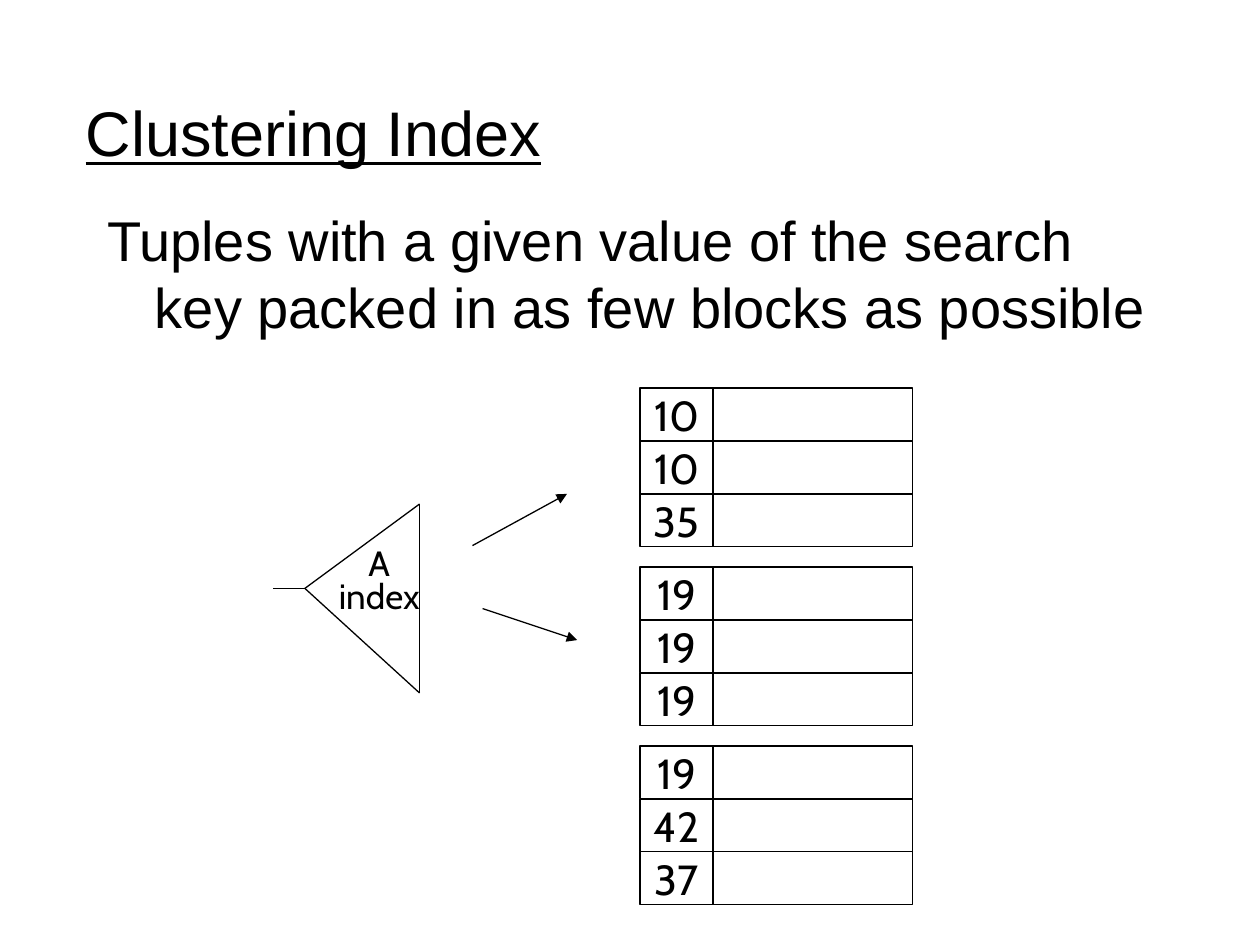
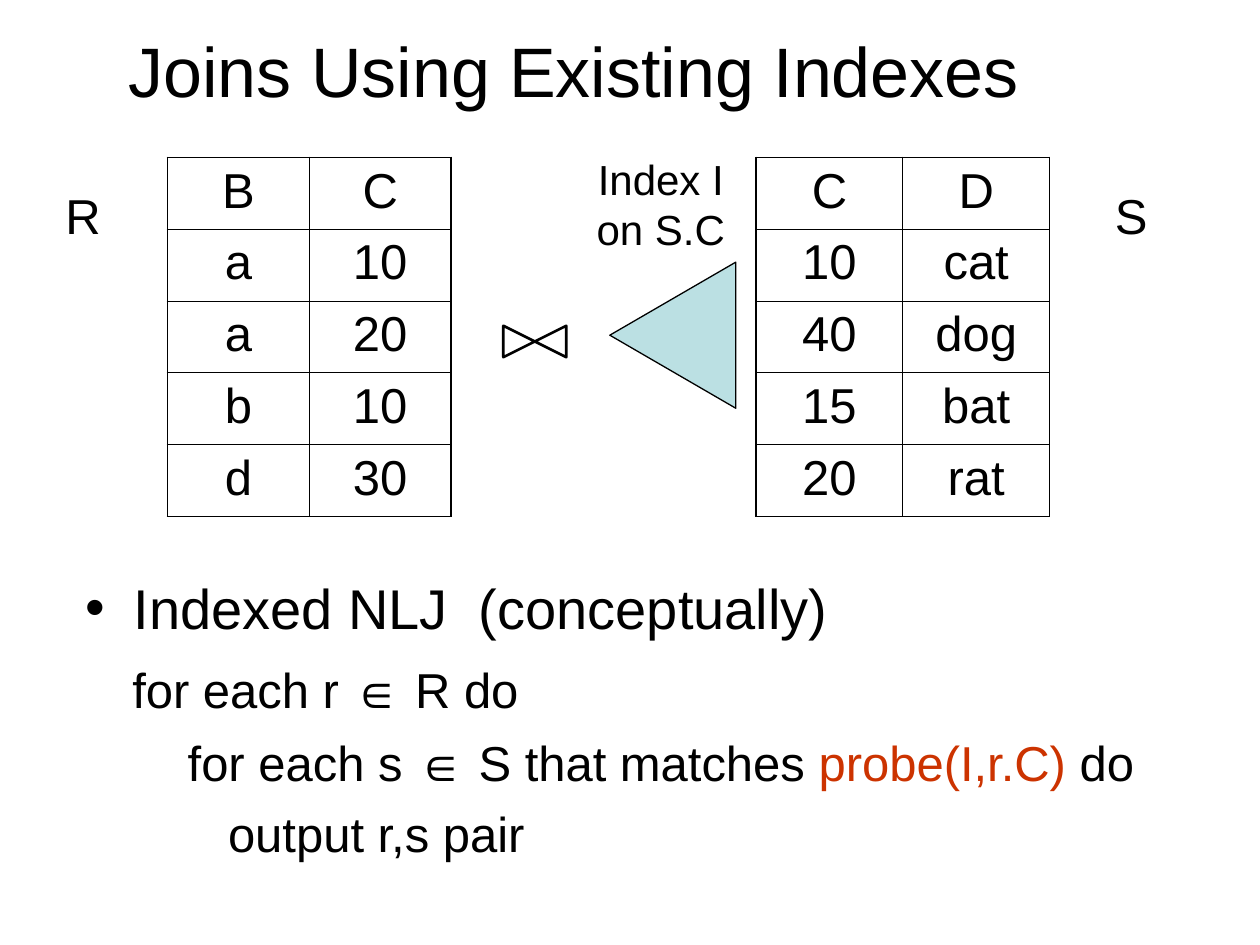
from dataclasses import dataclass, field
from typing import Any, NamedTuple

from lxml import etree
from pptx import Presentation, slide as sl, util as u
from pptx.dml import color as c
from pptx.enum import shapes, text
from pptx.oxml import ns

CENTER, LEFT = text.PP_ALIGN.CENTER, text.PP_ALIGN.LEFT
MIDDLE, TOP = text.MSO_ANCHOR.MIDDLE, text.MSO_ANCHOR.TOP


# Theme: colours, fonts, type sizes and line widths
@dataclass(frozen=True)
class Theme:
    ink: str = "000000"
    paper: str = "FFFFFF"
    probe: str = "CC3300"
    index: str = "BBE0E3"
    sans: str = "Arial"
    label: str = "Cabin"
    big_title: int = 40
    title: int = 36
    lead: int = 32
    normal: int = 28
    small: int = 24
    tiny: int = 20
    thin: float = 0.75
    bold_line: float = 1.5
    grid: float = 0.45
    frame: float = 1.08


T = Theme()


class Box(NamedTuple):
    left: float
    top: float
    width: float
    height: float


class Line(NamedTuple):
    start: tuple[float, float]
    end: tuple[float, float]
    arrow: bool = False


@dataclass
class Run:
    text: str
    color: str = T.ink
    font: dict[str, Any] = field(default_factory=dict)


@dataclass
class Para:
    runs: list[Run]
    size: int
    face: str = T.sans
    bullet: bool = False
    margin: float = 0
    hanging: float = 0
    fmt: dict[str, Any] = field(default_factory=dict)


@dataclass
class Relation:
    name: str
    name_at: Box
    at: Box
    rows: list[tuple[str, str]]


def apply(obj: Any, values: dict[str, Any]) -> None:
    for name, value in values.items():
        setattr(obj, name, value)


def sub(parent: Any, tag: str, **attrs: str) -> Any:
    return etree.SubElement(parent, ns.qn(tag), **attrs)


def inches(values: tuple[float, ...]) -> list[u.Length]:
    return [u.Inches(v) for v in values]


# Text
def write(tf: Any, paras: list[Para], **frame: Any) -> None:
    apply(tf, {"word_wrap": True, "vertical_anchor": TOP} | frame)
    for i, para in enumerate(paras):
        p = tf.paragraphs[0] if i == 0 else tf.add_paragraph()
        apply(p, {"alignment": LEFT, "space_before": u.Pt(0)} | para.fmt)
        pPr = p._p.get_or_add_pPr()
        pPr.set("marL", str(u.Inches(para.margin)))
        pPr.set("indent", str(-u.Inches(para.hanging)))
        if not para.bullet:
            sub(pPr, "a:buNone")
        for run in para.runs:
            r = p.add_run()
            r.text = run.text
            apply(r.font, {"size": u.Pt(para.size), "name": para.face} | run.font)
            r.font.color.rgb = c.RGBColor.from_string(run.color)


def fill_placeholder(sp: Any, at: Box, paras: list[Para], **frame: Any) -> None:
    apply(sp, dict(zip(("left", "top", "width", "height"), inches(at))))
    write(sp.text_frame, paras, auto_size=text.MSO_AUTO_SIZE.NONE, **frame)


def add_label(s: sl.Slide, at: Box, paras: list[Para], **frame: Any) -> None:
    sp = s.shapes.add_textbox(*inches(at))
    write(sp.text_frame, paras, auto_size=text.MSO_AUTO_SIZE.SHAPE_TO_FIT_TEXT, **frame)


# Shapes and lines
def add_box(s: sl.Slide, kind: Any, at: Box, fill: str = T.paper,
            width: float = T.thin, rotation: float = 0) -> Any:
    sp = s.shapes.add_shape(kind, *inches(at))
    sp.shadow.inherit = False
    sp.rotation = rotation
    sp.fill.solid()
    sp.fill.fore_color.rgb = c.RGBColor.from_string(fill)
    sp.line.color.rgb = c.RGBColor.from_string(T.ink)
    sp.line.width = u.Pt(width)
    return sp


def add_line(s: sl.Slide, line: Line) -> None:
    cx = s.shapes.add_connector(shapes.MSO_CONNECTOR.STRAIGHT,
                                *inches(line.start + line.end))
    cx.line.color.rgb = c.RGBColor.from_string(T.ink)
    cx.line.width = u.Pt(T.thin)
    if line.arrow:
        sub(cx.line._get_or_add_ln(), "a:tailEnd", type="triangle")
    sub(cx._element.spPr, "a:effectLst")


# Tables
def add_border(tcPr: Any, side: str, width: float) -> None:
    ln = sub(tcPr, f"a:ln{side}", w=str(u.Pt(width)))
    sub(sub(ln, "a:solidFill"), "a:srgbClr", val=T.ink)


def add_relation(s: sl.Slide, rel: Relation) -> None:
    n_rows, n_cols = len(rel.rows), len(rel.rows[0])
    tbl = s.shapes.add_table(n_rows, n_cols, *inches(rel.at)).table
    apply(tbl, {"first_row": False, "horz_banding": False})
    for i, row in enumerate(rel.rows):
        tbl.rows[i].height = u.Inches(rel.at.height / n_rows)
        for j, value in enumerate(row):
            cell = tbl.cell(i, j)
            write(cell.text_frame, [Para([Run(value)], T.normal, fmt={
                "alignment": CENTER, "space_before": u.Pt(7)})])
            outer = {"L": j == 0, "R": j == n_cols - 1,
                     "T": i == 0, "B": i == n_rows - 1}
            for side, is_outer in outer.items():
                add_border(cell._tc.get_or_add_tcPr(), side,
                           T.frame if is_outer else T.grid)
            cell.fill.background()
    add_label(s, rel.name_at, [Para([Run(rel.name)], T.normal)], word_wrap=False)


# Slide 1: clustering index
BLOCKS = [("10", "10", "35"), ("19", "19", "19"), ("19", "42", "37")]
BLOCK_LEFT, BLOCK_TOP, BLOCK_PITCH = 5.08, 3.08, 1.42
KEY_WIDTH, REST_WIDTH, ROW_HEIGHT = 0.58, 1.58, 0.42

INDEX_TOP, INDEX_TIP, INDEX_BOTTOM = (3.33, 4), (2.42, 4.67), (3.33, 5.5)
INDEX_LINES = [
    Line(INDEX_TOP, INDEX_BOTTOM),
    Line(INDEX_TOP, INDEX_TIP),
    Line(INDEX_TIP, INDEX_BOTTOM),
    Line(INDEX_TIP, (2.17, 4.67)),
    Line((3.75, 4.33), (4.5, 3.92), arrow=True),
    Line((3.83, 4.83), (4.58, 5.08), arrow=True),
]


def add_block(s: sl.Slide, top: float, keys: tuple[str, ...]) -> None:
    for i, key in enumerate(keys):
        y = top + i * ROW_HEIGHT
        sp = add_box(s, shapes.MSO_SHAPE.RECTANGLE,
                     Box(BLOCK_LEFT, y, KEY_WIDTH, ROW_HEIGHT))
        write(sp.text_frame, [Para([Run(key)], T.small, T.label, fmt={"alignment": CENTER})],
              word_wrap=False, vertical_anchor=MIDDLE)
        add_box(s, shapes.MSO_SHAPE.RECTANGLE,
                Box(BLOCK_LEFT + KEY_WIDTH, y, REST_WIDTH, ROW_HEIGHT))


def clustering_index(s: sl.Slide) -> None:
    title, body = s.placeholders
    fill_placeholder(title, Box(0.58, 0.42, 8.5, 1.25),
                     [Para([Run("Clustering Index", font={"underline": True})], T.title)],
                     vertical_anchor=MIDDLE)
    fill_placeholder(body, Box(0.75, 1.58, 8.5, 4.5), [
        Para([Run("Tuples with a given value of the search key "
                  "packed in as few blocks as possible")],
             T.lead, margin=0.38, hanging=0.38, fmt={"space_before": u.Pt(8)})])
    for line in INDEX_LINES:
        add_line(s, line)
    centred = {"alignment": CENTER, "space_before": u.Pt(12.5)}
    add_label(s, Box(2.55, 4.25, 0.92, 0.64), [
        Para([Run("A")], T.tiny, T.label, fmt=centred),
        Para([Run("index")], T.tiny, T.label, fmt=centred | {"line_spacing": 0.1}),
    ], word_wrap=False, vertical_anchor=MIDDLE)
    for i, keys in enumerate(BLOCKS):
        add_block(s, BLOCK_TOP + i * BLOCK_PITCH, keys)


# Slide 2: joins using existing indexes
RELATIONS = [
    Relation("R", Box(0.42, 1.42, 0.48, 0.57), Box(1.33, 1.25, 2.25, 2.85),
             [("B", "C"), ("a", "10"), ("a", "20"), ("b", "10"), ("d", "30")]),
    Relation("S", Box(8.75, 1.42, 0.46, 0.57), Box(6, 1.25, 2.33, 2.85),
             [("C", "D"), ("10", "cat"), ("40", "dog"), ("15", "bat"), ("20", "rat")]),
]
ELEMENT_OF = Run("∈", font={"bold": True})
# Left margin in inches, space before in points, runs
LOOP_LINES = [
    (0.37, 11, [Run("for each r "), ELEMENT_OF, Run(" R do")]),
    (0.81, 8, [Run("for each s "), ELEMENT_OF, Run(" S that matches "),
               Run("probe(I,r.C)", T.probe), Run(" do")]),
    (1.13, 7, [Run("output r,s pair")]),
]


def index_joins(s: sl.Slide) -> None:
    title, body = s.placeholders
    fill_placeholder(title, Box(0.92, 0.17, 8, 0.77),
                     [Para([Run("Joins Using Existing Indexes")], T.big_title)])
    heading = Para([Run("Indexed NLJ  (conceptually)")], T.lead, bullet=True,
                   margin=0.38, hanging=0.38, fmt={"space_before": u.Pt(8)})
    loop = [Para(runs, T.normal, margin=margin, fmt={"space_before": u.Pt(before)})
            for margin, before, runs in LOOP_LINES]
    fill_placeholder(body, Box(0.58, 4.5, 9, 3), [heading, *loop])
    for rel in RELATIONS:
        add_relation(s, rel)
    # Join symbol and index
    add_box(s, shapes.MSO_SHAPE.FLOWCHART_COLLATE, Box(4.12, 2.46, 0.25, 0.5),
            width=T.bold_line, rotation=270)
    add_box(s, shapes.MSO_SHAPE.ISOSCELES_TRIANGLE, Box(4.76, 2.16, 1.16, 1),
            fill=T.index, rotation=270)
    add_label(s, Box(4.58, 1.17, 1.33, 0.9),
              [Para([Run("Index I on S.C")], T.small, fmt={"alignment": CENTER})])


def main() -> None:
    prs = Presentation()
    prs.slide_width, prs.slide_height = u.Inches(10), u.Inches(7.5)
    for build in (clustering_index, index_joins):
        build(prs.slides.add_slide(prs.slide_layouts[1]))
    prs.save("out.pptx")


if __name__ == "__main__":
    main()
